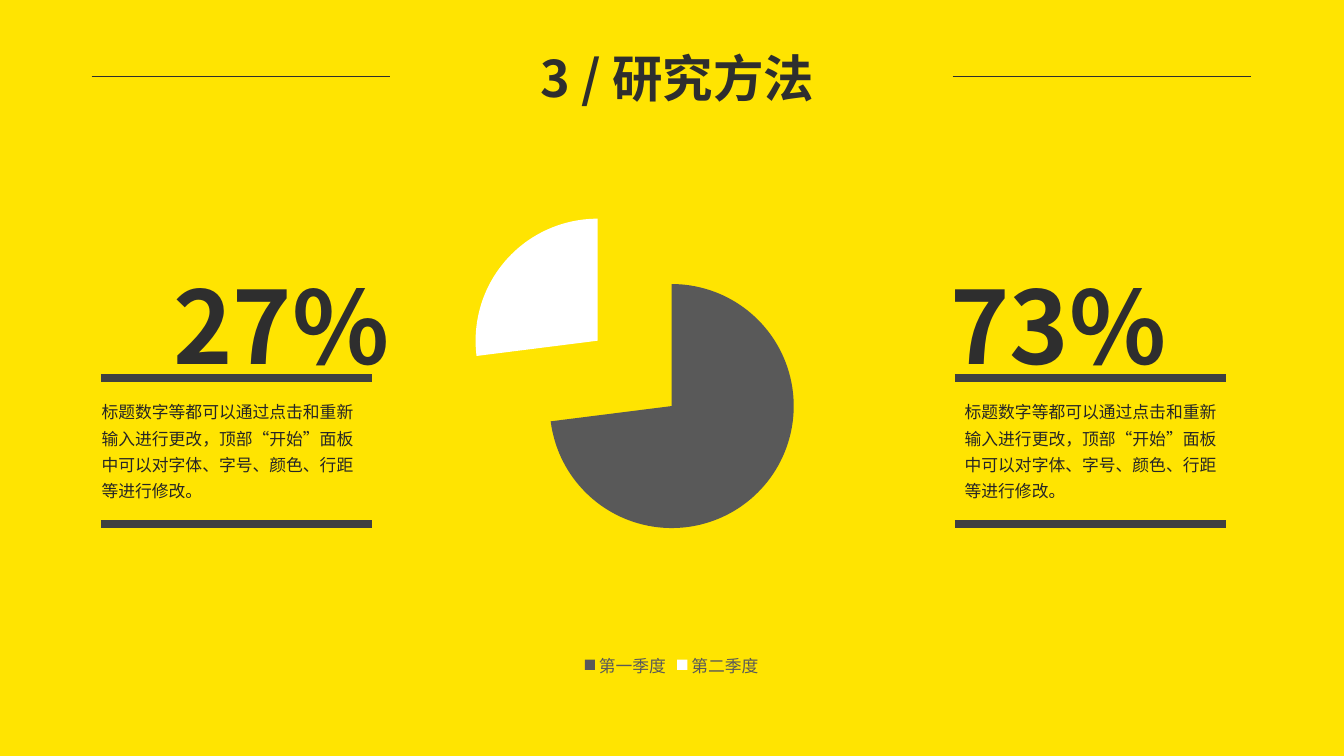
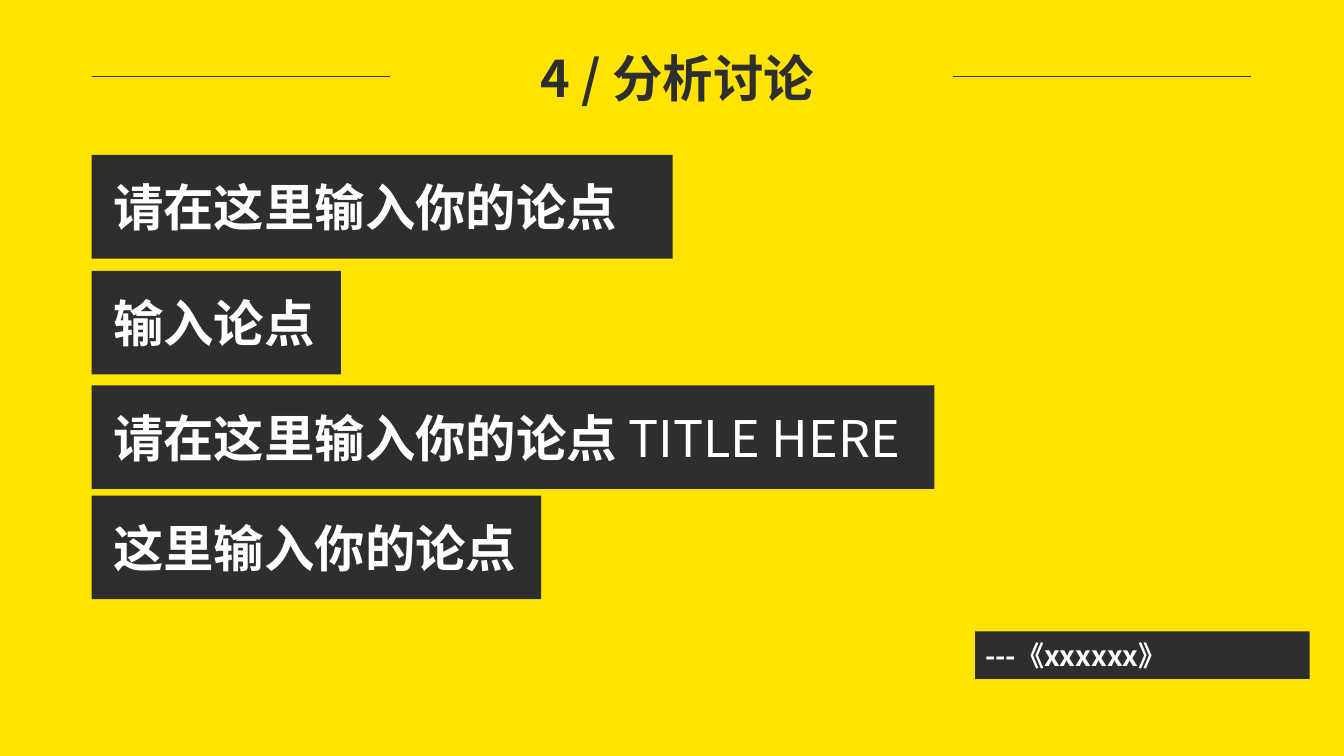
from lxml import etree
from pptx import Presentation
from pptx.chart.data import CategoryChartData
from pptx.dml.color import RGBColor
from pptx.enum import chart, shapes, text
from pptx.oxml import ns
from pptx.util import Pt

YELLOW = RGBColor(0xFF, 0xE4, 0x01)
INK = RGBColor(0x2E, 0x2E, 0x2E)
BODY = RGBColor(0x26, 0x26, 0x26)
BAR = RGBColor(0x40, 0x40, 0x40)
GREY = RGBColor(0x59, 0x59, 0x59)
WHITE = RGBColor(0xFF, 0xFF, 0xFF)
FONT = "Noto Sans CJK SC"
MARGIN = 65.5
LEFT, CENTER, RIGHT = text.PP_ALIGN.LEFT, text.PP_ALIGN.CENTER, text.PP_ALIGN.RIGHT
TOP, MIDDLE = text.MSO_ANCHOR.TOP, text.MSO_ANCHOR.MIDDLE

ADVICE = "标题数字等都可以通过点击和重新输入进行更改，顶部“开始”面板中可以对字体、字号、颜色、行距等进行修改。"


def box_pt(x, y, w, h):
    return Pt(x), Pt(y), Pt(w), Pt(h)


def write(shape, *parts, size=12, color=INK, bold=False, align=LEFT,
          anchor=TOP, spacing=1.0, wrap=True):
    tf = shape.text_frame
    tf.auto_size = text.MSO_AUTO_SIZE.NONE
    tf.word_wrap = wrap
    tf.vertical_anchor = anchor
    p = tf.paragraphs[0]
    p.alignment = align
    p.line_spacing = spacing
    for i, part in enumerate(parts):
        r = p.add_run()
        r.text = part
        r.font.size = Pt(size)
        r.font.name = FONT
        r.font.bold = bold and i == 0
        r.font.color.rgb = color
        latin = r.font._element.find(ns.qn("a:latin"))
        ea = etree.Element(ns.qn("a:ea"), typeface=FONT)
        latin.addnext(ea)


def rule(s, x, y, w, color, weight):
    line = s.shapes.add_connector(shapes.MSO_CONNECTOR.STRAIGHT,
                                  Pt(x), Pt(y), Pt(x + w), Pt(y))
    line.line.color.rgb = color
    line.line.width = Pt(weight)
    etree.SubElement(line._element.spPr, ns.qn("a:effectLst"))


def titled_slide(prs, title):
    s = prs.slides.add_slide(prs.slide_layouts[5])
    sp = s.shapes.title
    sp.left, sp.top, sp.width, sp.height = box_pt(363.5, 29.5, 232, 51)
    write(sp, title, size=36, bold=True, align=CENTER, anchor=MIDDLE, wrap=False)
    for x in (MARGIN, 680.4):
        rule(s, x, 54.7, 213, INK, 0.5)
    return s


def quarter_pie(s, x, y, w, h):
    data = CategoryChartData()
    data.categories = ["第一季度", "第二季度"]
    data.add_series("Series 1", (73, 27))
    pie = s.shapes.add_chart(chart.XL_CHART_TYPE.PIE, *box_pt(x, y, w, h), data).chart
    pie.has_title = False
    pie.font.size = Pt(10)
    pie.font.name = FONT
    pie.has_legend = True
    legend = pie.legend
    legend.position = chart.XL_LEGEND_POSITION.BOTTOM
    legend.include_in_layout = False
    legend.font.size = Pt(12)
    legend.font.name = FONT
    legend.font.color.rgb = GREY
    series = pie.plots[0].series[0]
    for i, color in enumerate((GREY, WHITE)):
        fill = series.points[i].format.fill
        fill.solid()
        fill.fore_color.rgb = color
    point = series._element.findall(ns.qn("c:dPt"))[1]
    explosion = etree.Element(ns.qn("c:explosion"), val="81")
    point.find(ns.qn("c:spPr")).addprevious(explosion)


def stat_panel(s, x, y, w, h, number, number_dx, body_dx, align):
    for edge in (y, y + h):
        rule(s, x, edge, w, BAR, 6)
    body = s.shapes.add_textbox(*box_pt(x + body_dx, y + 9.4, 200, 83))
    write(body, ADVICE, color=BODY, spacing=1.3)
    figure = s.shapes.add_textbox(*box_pt(x + number_dx, y - 85, 274.3, 94.3))
    write(figure, number, size=72, bold=True, align=align)


def label(s, x, y, w, h, *parts, size=36):
    sp = s.shapes.add_shape(shapes.MSO_SHAPE.RECTANGLE, *box_pt(x, y, w, h))
    sp.shadow.inherit = False
    sp.fill.solid()
    sp.fill.fore_color.rgb = INK
    sp.line.fill.background()
    write(sp, *parts, size=size, color=WHITE, bold=True, anchor=MIDDLE)


def method_slide(prs):
    s = titled_slide(prs, " 3 / 研究方法")
    quarter_pie(s, 206.6, 122.4, 546.5, 364.3)
    stat_panel(s, 72, 270, 193.5, 104.4, "27%", -61.2, -6.5, RIGHT)
    stat_panel(s, 682, 270, 193.5, 104.4, "73%", -10.2, 0, LEFT)


def discussion_slide(prs):
    s = titled_slide(prs, " 4 / 分析讨论")
    points = [
        (110.7, 415, [" 请在这里输入你的论点"]),
        (193.4, 178, [" 输入论点"]),
        (275.3, 602, [" 请在这里输入你的论点 ", "TITLE HERE"]),
        (354, 321, [" 这里输入你的论点"]),
    ]
    for y, w, parts in points:
        label(s, MARGIN, y, w, 74, *parts)
    label(s, 696.5, 451, 239, 34, "---《xxxxxx》", size=20)


def main():
    prs = Presentation()
    prs.slide_width, prs.slide_height = Pt(960), Pt(540)
    fill = prs.slide_master.background.fill
    fill.solid()
    fill.fore_color.rgb = YELLOW
    method_slide(prs)
    discussion_slide(prs)
    prs.save("out.pptx")


if __name__ == "__main__":
    main()
